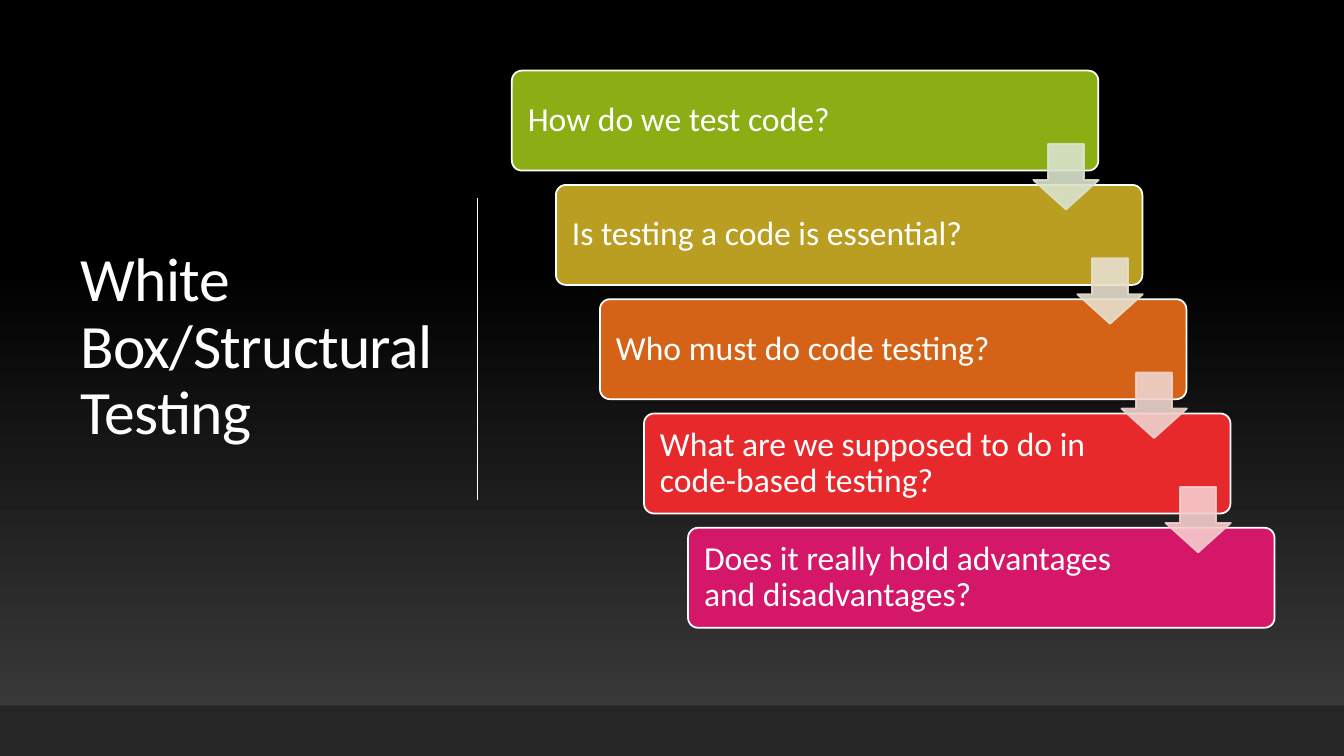
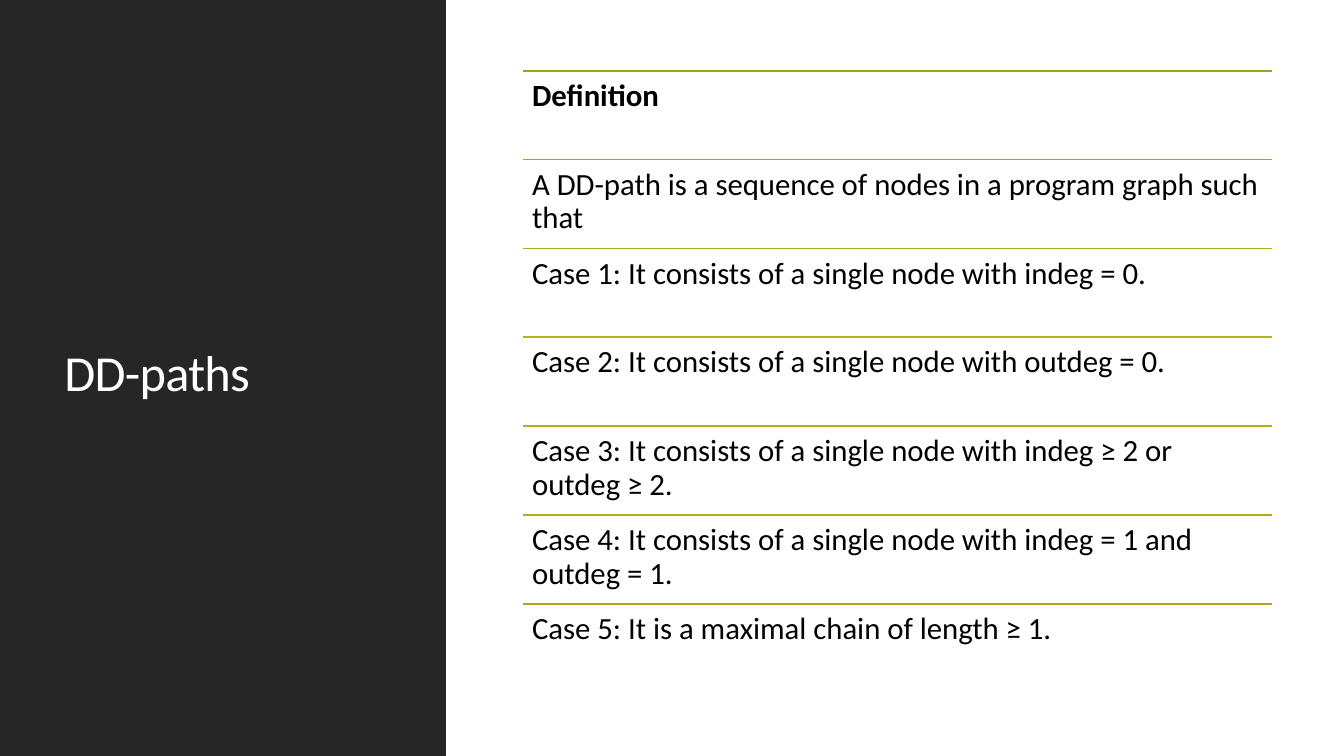
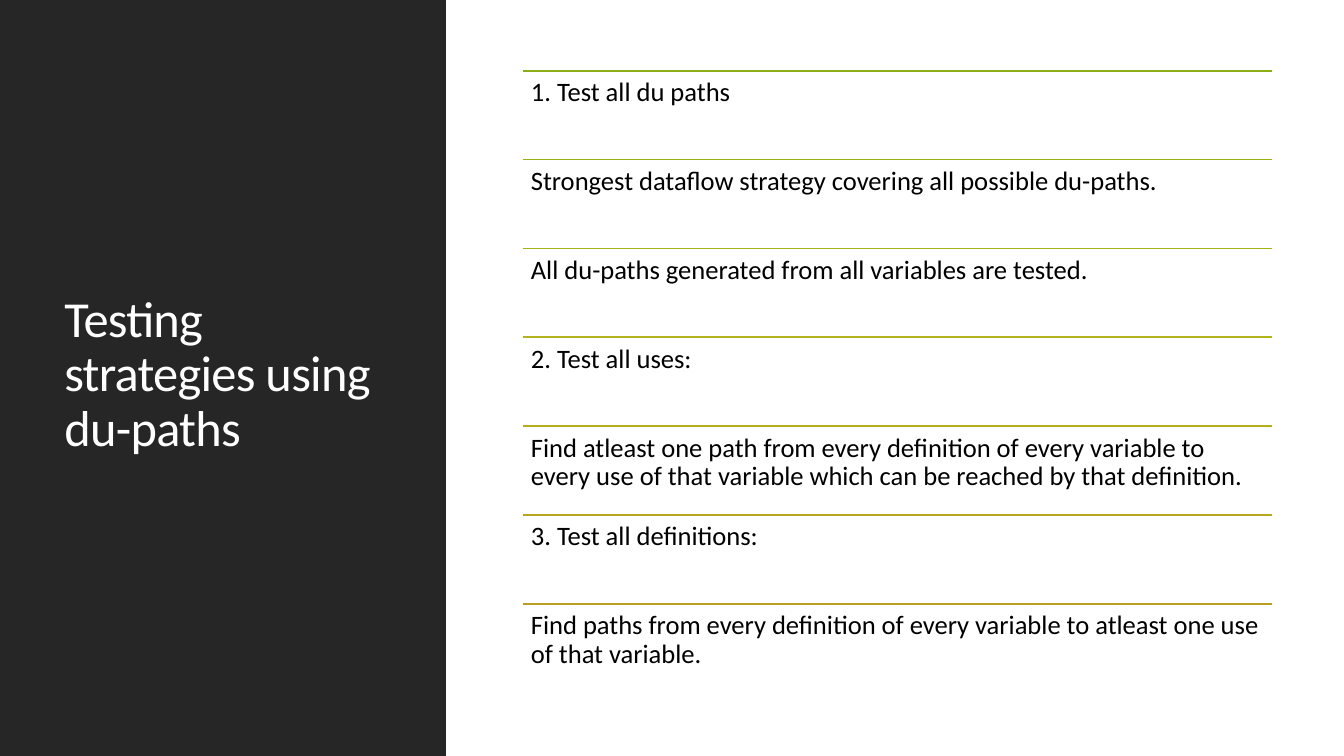
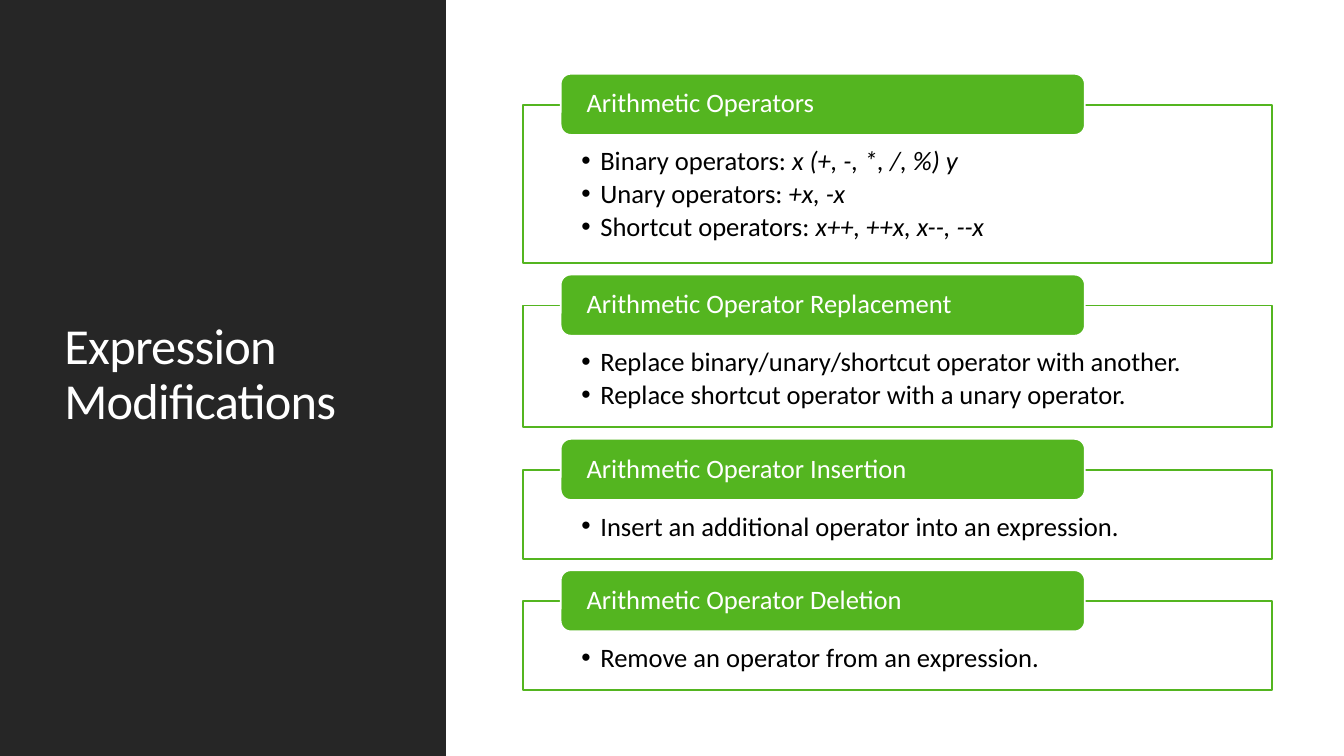
from lxml.etree import SubElement
from pptx import Presentation
from pptx.dml.color import RGBColor
from pptx.enum.shapes import MSO_CONNECTOR, MSO_SHAPE
from pptx.enum.text import MSO_ANCHOR, MSO_AUTO_SIZE, PP_ALIGN
from pptx.oxml.ns import qn
from pptx.util import Cm, Pt

FONT = "Calibri"
WHITE, BLACK, DARK, GREEN = "FFFFFF", "000000", "262626", "54B520"
WIDE, HIGH = 33.87, 19.05
LEFT, SPAN = 13.18, 18.87
EDGE = 1.25

STEPS = [
    ("How do we test code?", "8AAE13"),
    ("Is testing a code is essential?", "BA9E21"),
    ("Who must do code testing?", "D56317"),
    ("What are we supposed to do in code-based testing?", "E7292C"),
    ("Does it really hold advantages and disadvantages?", "D51769"),
]
ARROWS = ["DAE3CC", "E7DFCD", "EFD3CC", "F6CDCD"]
RULES = ["8AAE13", "97B015", "A4B217", "B1B41A", "B6AF1C", "B8A71E", "BA9E21"]
CASES = [
    "Definition",
    "A DD-path is a sequence of nodes in a program graph such that",
    "Case 1: It consists of a single node with indeg = 0.",
    "Case 2: It consists of a single node with outdeg = 0.",
    "Case 3: It consists of a single node with indeg ≥ 2 or outdeg ≥ 2.",
    "Case 4: It consists of a single node with indeg = 1 and outdeg = 1.",
    "Case 5: It is a maximal chain of length ≥ 1.",
]
PLANS = [
    "1. Test all du paths",
    "Strongest dataflow strategy covering all possible du-paths.",
    "All du-paths generated from all variables are tested.",
    "2. Test all uses:",
    "Find atleast one path from every definition of every variable to every "
    "use of that variable which can be reached by that definition.",
    "3. Test all definitions:",
    "Find paths from every definition of every variable to atleast one use "
    "of that variable.",
]
GROUPS = [
    ("Arithmetic Operators", 3.99, [
        ("Binary operators: ", "x (+, -, *, /, %) y"),
        ("Unary operators: ", "+x, -x"),
        ("Shortcut operators: ", "x++, ++x, x--, --x"),
    ]),
    ("Arithmetic Operator Replacement", 3.07, [
        ("Replace binary/unary/shortcut operator with another.", ""),
        ("Replace shortcut operator with a unary operator.", ""),
    ]),
    ("Arithmetic Operator Insertion", 2.24, [
        ("Insert an additional operator into an expression.", ""),
    ]),
    ("Arithmetic Operator Deletion", 2.24, [
        ("Remove an operator from an expression.", ""),
    ]),
]


def paint(color, code):
    color.rgb = RGBColor.from_string(code)


def shape(slide, kind, box, fill, edge=None):
    item = slide.shapes.add_shape(kind, *map(Cm, box))
    item.shadow.inherit = False
    item.fill.solid()
    paint(item.fill.fore_color, fill)
    if edge:
        paint(item.line.color, edge)
        item.line.width = Pt(EDGE)
    else:
        item.line.fill.background()
    return item


def line(slide, ends, code, width=EDGE):
    item = slide.shapes.add_connector(MSO_CONNECTOR.STRAIGHT, *map(Cm, ends))
    paint(item.line.color, code)
    item.line.width = Pt(width)
    SubElement(item._element.spPr, qn("a:effectLst"))


def frame(item, pads, anchor):
    text = item.text_frame
    text.word_wrap = True
    text.auto_size = MSO_AUTO_SIZE.NONE
    text.vertical_anchor = anchor
    (text.margin_left, text.margin_top,
     text.margin_right, text.margin_bottom) = map(Cm, pads)
    return text


def style(para, size, code, bold=False):
    para.alignment = PP_ALIGN.LEFT
    para.line_spacing = 0.9
    for run in para.runs:
        run.font.name = FONT
        run.font.size = Pt(size)
        run.font.bold = bold
        paint(run.font.color, code)


def write(item, words, size, code, pads, anchor=MSO_ANCHOR.MIDDLE, bold=False):
    text = frame(item, pads, anchor)
    text.text = words
    style(text.paragraphs[0], size, code, bold)


def bullets(item, points):
    text = frame(item, (1.47, 1.09, 1.47, 0.38), MSO_ANCHOR.TOP)
    for at, (lead, code) in enumerate(points):
        para = text.paragraphs[0] if at == 0 else text.add_paragraph()
        para.text = lead
        if code:
            run = para.add_run()
            run.text = code
            run.font.italic = True
        para.space_after = Pt(2.8)
        props = para._p.get_or_add_pPr()
        props.set("marL", str(Cm(0.48)))
        props.set("indent", str(-Cm(0.48)))
        SubElement(props, qn("a:buFont"), typeface="Arial")
        SubElement(props, qn("a:buChar"), char="•")
        style(para, 19, BLACK)


def title(slide, words, box, size):
    item = slide.shapes.title
    item.left, item.top, item.width, item.height = map(Cm, box)
    write(item, words, size, WHITE, (0.25, 0.13, 0.25, 0.13))
    for run in item.text_frame.paragraphs[0].runs:
        run._r.get_or_add_rPr().set("spc", "-50")


def start(deck):
    return deck.slides.add_slide(deck.slide_layouts[5])


def panel(deck, words):
    slide = start(deck)
    side = shape(slide, MSO_SHAPE.RECTANGLE, (0, 0, 11.24, HIGH), DARK)
    slide.shapes._spTree.insert(2, side._element)
    title(slide, words, (1.37, 1.45, 8.56, 16.03), 36)
    return slide


def shade(slide):
    fill = slide.background.fill
    fill.gradient()
    fill.gradient_angle = 90
    for stop, code, place in zip(fill.gradient_stops, ("3F3F3F", BLACK), (0, 0.65)):
        paint(stop.color, code)
        stop.position = place


def stairs(deck):
    slide = start(deck)
    shade(slide)
    title(slide, "White Box/Structural Testing", (1.78, 1.75, 9.4, 14.05), 44)
    line(slide, (12.04, 4.98, 12.04, 12.6), WHITE, 1)
    shape(slide, MSO_SHAPE.RECTANGLE, (0, 17.78, WIDE, 1.27), DARK)
    right, down = 1.11, 2.88
    for at, (words, code) in enumerate(STEPS):
        box = (12.9 + at * right, 1.78 + at * down, 14.78, 2.52)
        step = shape(slide, MSO_SHAPE.ROUNDED_RECTANGLE, box, code, WHITE)
        step.adjustments[0] = 0.1
        write(step, words, 24, WHITE, (0.33, 0.25, 3.07, 0.25))
    for at, code in enumerate(ARROWS):
        box = (26.04 + at * right, 3.63 + at * down, 1.65, 1.65)
        arrow = shape(slide, MSO_SHAPE.DOWN_ARROW, box, code, code)
        arrow.adjustments[0] = 0.55
        arrow.adjustments[1] = 0.45
        for color in arrow._element.spPr.iter(qn("a:srgbClr")):
            SubElement(color, qn("a:alpha"), val="90000")


def rows(deck, name, items, size, pad, head=False):
    slide = panel(deck, name)
    tall = 2.24
    for at, (words, code) in enumerate(zip(items, RULES)):
        top = 1.78 + at * tall
        line(slide, (LEFT, top, LEFT + SPAN, top), code)
        box = slide.shapes.add_textbox(*map(Cm, (LEFT, top, SPAN, tall)))
        write(box, words, size, BLACK, [pad] * 4, MSO_ANCHOR.TOP, head and at == 0)


def groups(deck):
    slide = panel(deck, "Expression Modifications")
    top = 2.64
    for name, tall, points in GROUPS:
        body = shape(slide, MSO_SHAPE.RECTANGLE, (LEFT, top, SPAN, tall), WHITE, GREEN)
        bullets(body, points)
        tag = shape(slide, MSO_SHAPE.ROUNDED_RECTANGLE,
                    (14.13, top - 0.78, 13.21, 1.54), GREEN, WHITE)
        write(tag, name, 19, WHITE, (0.58, 0, 0.58, 0))
        top += tall + 1.07


def main():
    deck = Presentation()
    deck.slide_width, deck.slide_height = Cm(WIDE), Cm(HIGH)
    stairs(deck)
    rows(deck, "DD-paths", CASES, 22, 0.23, True)
    rows(deck, "Testing strategies using du-paths", PLANS, 19, 0.2)
    groups(deck)
    deck.save("out.pptx")


if __name__ == "__main__":
    main()
